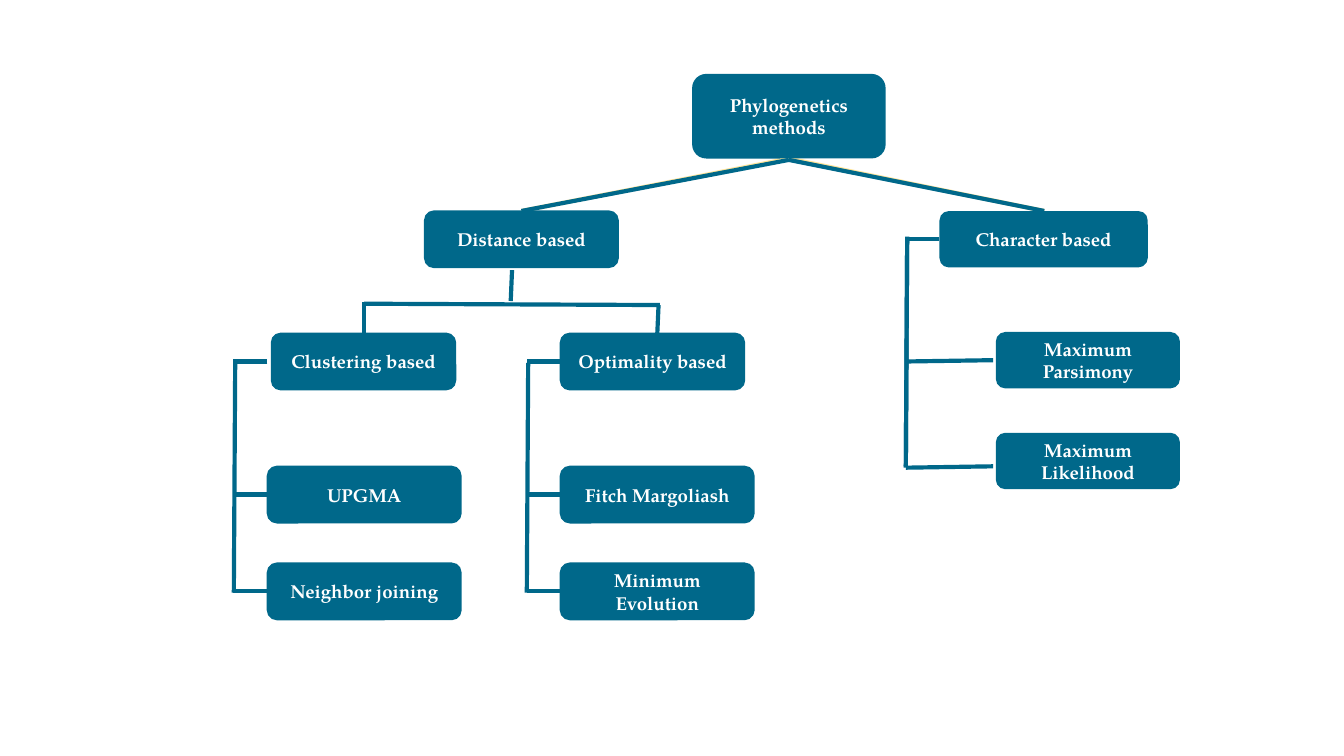
from lxml import etree
from pptx import Presentation
from pptx.dml.color import RGBColor
from pptx.enum.shapes import MSO_CONNECTOR, MSO_SHAPE
from pptx.enum.text import MSO_ANCHOR, PP_ALIGN
from pptx.oxml.ns import qn
from pptx.util import Inches, Pt

ROUND = MSO_SHAPE.ROUNDED_RECTANGLE
STRAIGHT = MSO_CONNECTOR.STRAIGHT
MIDDLE = MSO_ANCHOR.MIDDLE
CENTER = PP_ALIGN.CENTER
FONT = "TeX Gyre Pagella"
COLORS = {"teal": "00688A", "sand": "FFE599", "white": "FFFFFF"}

prs = Presentation()
prs.slide_width = Inches(10)
prs.slide_height = Inches(10 * 9 / 16)
slide = prs.slides.add_slide(prs.slide_layouts[6])


def add_line(x1, y1, x2, y2, color="teal"):
    line = slide.shapes.add_connector(
        STRAIGHT, Inches(x1), Inches(y1), Inches(x2), Inches(y2))
    line.line.color.rgb = RGBColor.from_string(COLORS[color])
    line.line.width = Pt(2.25)
    etree.SubElement(line._element.spPr, qn("a:effectLst"))


def add_box(label, left, top, width, height=0.42, edge=True):
    box = slide.shapes.add_shape(
        ROUND, Inches(left), Inches(top), Inches(width), Inches(height))
    box.shadow.inherit = False
    box.adjustments[0] = 0.167
    teal = RGBColor.from_string(COLORS["teal"])
    box.fill.solid()
    box.fill.fore_color.rgb = teal
    if edge:
        box.line.color.rgb = teal
        box.line.width = Pt(0.75)
    else:
        box.line.fill.background()
    frame = box.text_frame
    frame.word_wrap = True
    frame.vertical_anchor = MIDDLE
    frame.margin_left = frame.margin_right = Inches(0.1)
    frame.margin_top = frame.margin_bottom = Inches(0.1)
    para = frame.paragraphs[0]
    para.alignment = CENTER
    run = para.add_run()
    run.text = label
    run.font.name = FONT
    run.font.size = Pt(10)
    run.font.bold = True
    run.font.color.rgb = RGBColor.from_string(COLORS["white"])


# Root branches: a sand line under a slightly lower teal one
for color, top in (("sand", 1.18), ("teal", 1.19)):
    add_line(5.87, top, 3.88, 1.57, color)
    add_line(7.77, 1.57, 5.87, top, color)

# Fork below the distance methods
add_line(4.91, 2.27, 2.71, 2.26)
add_line(2.71, 2.25, 2.71, 2.48)
add_line(4.9, 2.27, 4.89, 2.5)
add_line(3.81, 2.01, 3.8, 2.24)

# Brackets of the two distance groups
for left, spine, end in ((1.99, 1.74, 1.73), (4.17, 3.92, 3.92)):
    add_line(spine + 0.01, 2.7, spine, 4.41)
    for y in (2.69, 3.68, 4.4):
        add_line(left, y, end, y)

# Bracket of the character methods, with a doubled spine
for top in (1.76, 1.77):
    add_line(6.75, top, 6.74, top + 1.71)
add_line(6.99, 1.78, 6.74, 1.78)
for y in (2.68, 3.47):
    add_line(7.39, y, 6.74, y + 0.01)

add_box("Phylogenetics methods", 5.15, 0.55, 1.44, 0.63, edge=False)
add_box("Distance based", 3.16, 1.57, 1.44)
add_box("Clustering based", 2.02, 2.48, 1.37)
add_box("Optimality based", 4.17, 2.48, 1.37)
for left, labels in ((1.99, ("UPGMA", "Neighbor joining")),
                     (4.17, ("Fitch Margoliash", "Minimum Evolution"))):
    for label, top in zip(labels, (3.47, 4.19)):
        add_box(label, left, top, 1.44)

add_box("Character based", 6.99, 1.57, 1.55, edge=False)
for label, top in (("Maximum Parsimony", 2.47), ("Maximum Likelihood", 3.22)):
    add_box(label, 7.41, top, 1.37, edge=False)

prs.save("out.pptx")
